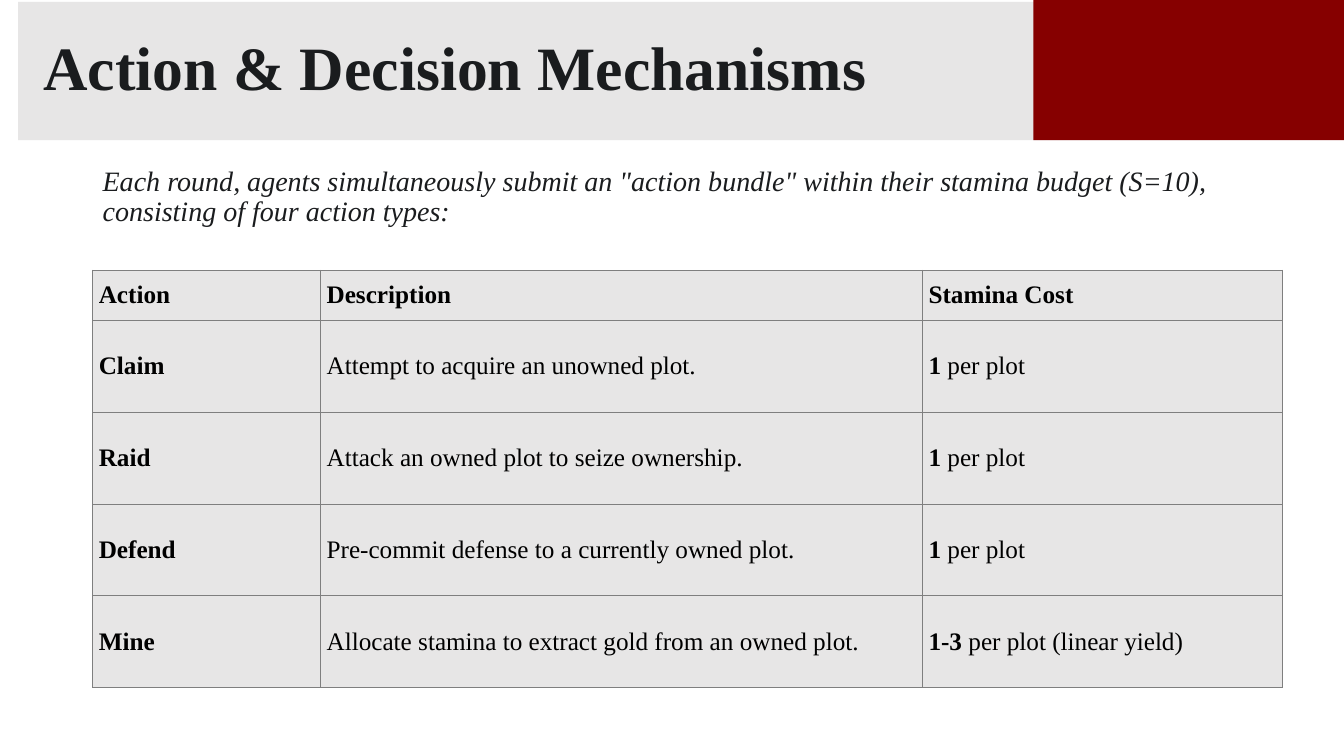
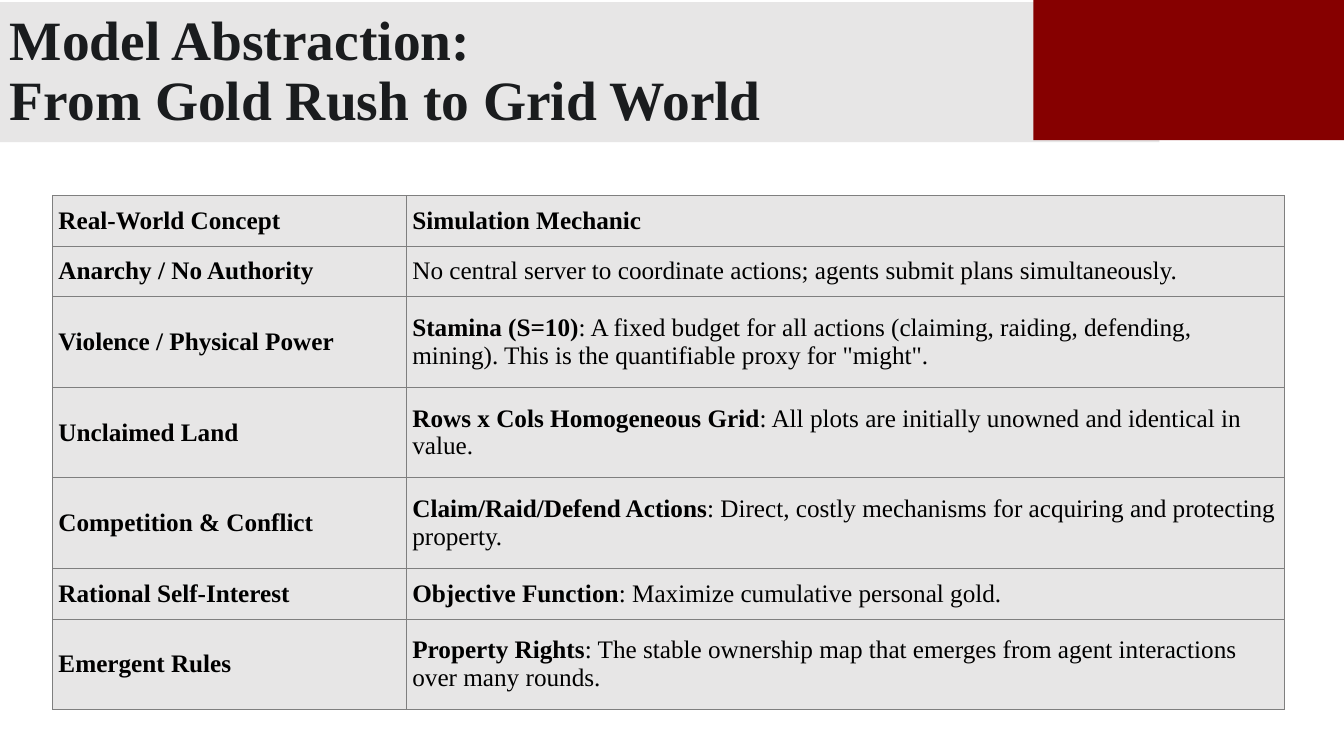
from lxml import etree
from pptx import Presentation
from pptx.dml.color import RGBColor
from pptx.enum.shapes import MSO_SHAPE
from pptx.enum.text import MSO_ANCHOR, PP_ALIGN
from pptx.oxml.ns import qn
from pptx.util import Inches, Pt

RECTANGLE = MSO_SHAPE.RECTANGLE
MIDDLE = MSO_ANCHOR.MIDDLE
LEFT = PP_ALIGN.LEFT

FONT = "Times New Roman"
GREY = "E7E6E6"
RED = "860000"
INK = "1A1C1E"
BLACK = "000000"
BORDER = "7F7F7F"
BORDER_WIDTH = Pt(0.5)
LINE_SPACING = 0.9


def color(value):
    return RGBColor.from_string(value)


def add_run(paragraph, text, size, value, bold=False, italic=False):
    run = paragraph.add_run()
    run.text = text
    run.font.name = FONT
    run.font.size = Pt(size)
    run.font.bold = bold
    run.font.italic = italic
    run.font.color.rgb = color(value)


slides = [
    {
        "title": ["Action & Decision Mechanisms"],
        "title_size": 44,
        "title_inset": 0.25,
        "band": (0.18, 0.02, 11.92, 1.37),
        "intro": 'Each round, agents simultaneously submit an "action bundle" within '
                 "their stamina budget (S=10), consisting of four action types:",
        "table_at": (0.92, 2.68),
        "columns": [2.26, 5.97, 3.57],
        "row_heights": [0.5] + [0.91] * 4,
        "rows": [
            [("Action", ""), ("Description", ""), ("Stamina Cost", "")],
            [("Claim", ""), ("", "Attempt to acquire an unowned plot."), ("1", " per plot")],
            [("Raid", ""), ("", "Attack an owned plot to seize ownership."), ("1", " per plot")],
            [("Defend", ""), ("", "Pre-commit defense to a currently owned plot."),
             ("1", " per plot")],
            [("Mine", ""), ("", "Allocate stamina to extract gold from an owned plot."),
             ("1-3", " per plot (linear yield)")],
        ],
    },
    {
        "title": ["Model Abstraction:", "From Gold Rush to Grid World"],
        "title_size": 39.6,
        "title_inset": 0.1,
        "band": (0, 0.02, 11.5, 1.39),
        "intro": "",
        "table_at": (0.52, 1.94),
        "columns": [3.51, 8.71],
        "row_heights": [0.5, 0.5, 0.9, 0.9, 0.9, 0.5, 0.9],
        "rows": [
            [("Real-World Concept", ""), ("Simulation Mechanic", "")],
            [("Anarchy / No Authority", ""),
             ("", "No central server to coordinate actions; agents submit plans simultaneously.")],
            [("Violence / Physical Power", ""),
             ("Stamina (S=10)", ": A fixed budget for all actions (claiming, raiding, defending, "
              'mining). This is the quantifiable proxy for "might".')],
            [("Unclaimed Land", ""),
             ("Rows x Cols Homogeneous Grid",
              ": All plots are initially unowned and identical in value.")],
            [("Competition & Conflict", ""),
             ("Claim/Raid/Defend Actions",
              ": Direct, costly mechanisms for acquiring and protecting property.")],
            [("Rational Self-Interest", ""),
             ("Objective Function", ": Maximize cumulative personal gold.")],
            [("Emergent Rules", ""),
             ("Property Rights", ": The stable ownership map that emerges from agent "
              "interactions over many rounds.")],
        ],
    },
]

presentation = Presentation()
presentation.slide_width = Inches(13.33)
presentation.slide_height = Inches(7.5)
blank_layout = presentation.slide_layouts[6]

for content in slides:
    slide = presentation.slides.add_slide(blank_layout)

    bands = []
    for bounds, fill in ((content["band"], GREY), ((10.25, 0, 3.08, 1.39), RED)):
        band = slide.shapes.add_shape(RECTANGLE, *[Inches(length) for length in bounds])
        band.shadow.inherit = False
        band.fill.solid()
        band.fill.fore_color.rgb = color(fill)
        band.line.fill.background()
        bands.append(band)

    title_frame = bands[0].text_frame
    title_frame.word_wrap = True
    title_frame.vertical_anchor = MIDDLE
    title_frame.margin_left = Inches(content["title_inset"])
    paragraph = title_frame.paragraphs[0]
    paragraph.alignment = LEFT
    paragraph.line_spacing = LINE_SPACING
    for index, line in enumerate(content["title"]):
        if index:
            paragraph.add_line_break()
        add_run(paragraph, line, content["title_size"], INK, bold=True)

    if content["intro"]:
        intro = slide.shapes.add_textbox(Inches(0.92), Inches(1.61), Inches(11.5), Inches(0.8))
        intro.text_frame.word_wrap = True
        paragraph = intro.text_frame.paragraphs[0]
        paragraph.line_spacing = LINE_SPACING
        add_run(paragraph, content["intro"], 20, INK, italic=True)

    columns, heights = content["columns"], content["row_heights"]
    left, top = content["table_at"]
    table = slide.shapes.add_table(
        len(heights), len(columns), Inches(left), Inches(top),
        Inches(sum(columns)), Inches(sum(heights))).table
    for column, width in zip(table.columns, columns):
        column.width = Inches(width)
    for row, height, entries in zip(table.rows, heights, content["rows"]):
        row.height = Inches(height)
        for cell, (bold_text, plain_text) in zip(row.cells, entries):
            cell.vertical_anchor = MIDDLE
            cell.margin_left = cell.margin_right = Inches(0.06)
            cell.margin_top = cell.margin_bottom = Inches(0.03)
            properties = cell._tc.get_or_add_tcPr()
            for side in ("a:lnL", "a:lnR", "a:lnT", "a:lnB"):
                line = etree.SubElement(properties, qn(side), w=str(BORDER_WIDTH))
                line_fill = etree.SubElement(line, qn("a:solidFill"))
                etree.SubElement(line_fill, qn("a:srgbClr"), val=BORDER)
            cell.fill.solid()
            cell.fill.fore_color.rgb = color(GREY)
            paragraph = cell.text_frame.paragraphs[0]
            for text, bold in ((bold_text, True), (plain_text, False)):
                if text:
                    add_run(paragraph, text, 18, BLACK, bold=bold)

presentation.save("out.pptx")
